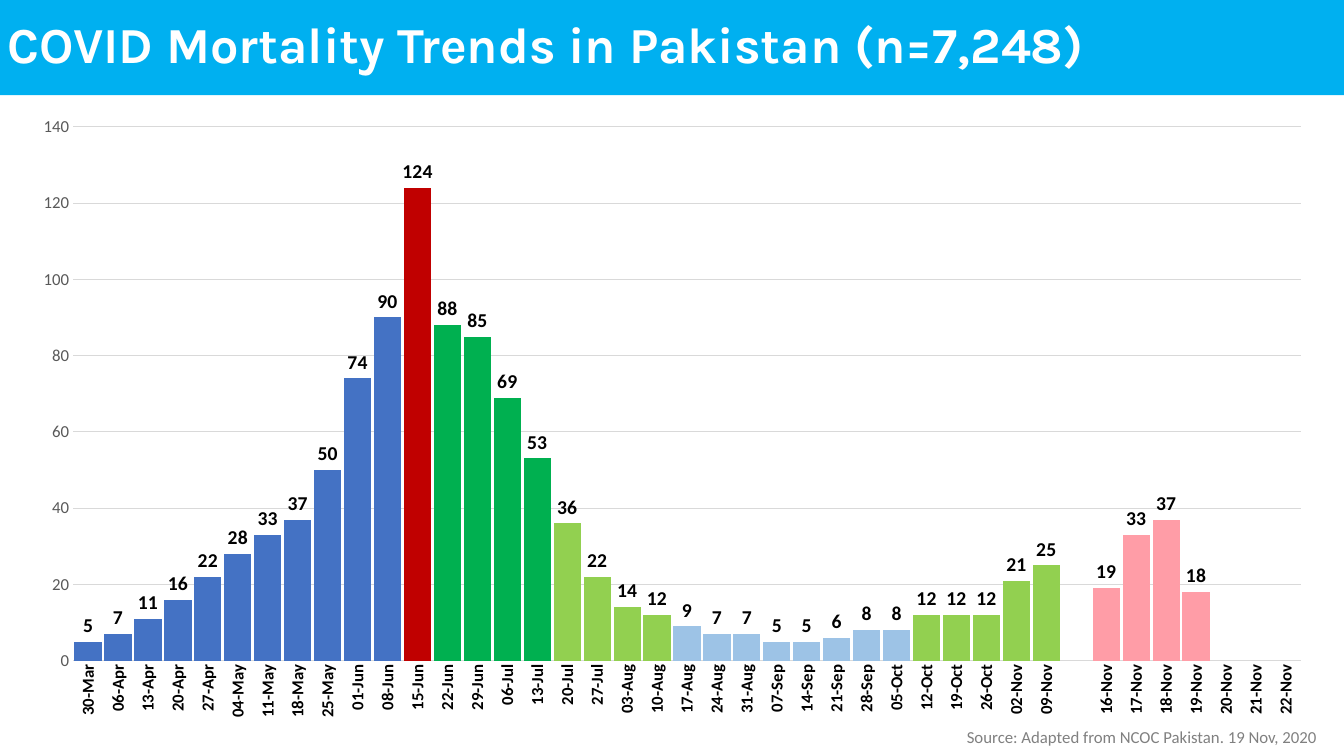
from dataclasses import dataclass

from lxml.etree import SubElement
from pptx import Presentation
from pptx.chart.data import CategoryChartData
from pptx.dml.color import RGBColor
from pptx.enum.chart import XL_CHART_TYPE as ChartType
from pptx.enum.chart import XL_LABEL_POSITION as LabelPosition
from pptx.enum.chart import XL_TICK_MARK as TickMark
from pptx.enum.shapes import MSO_SHAPE as ShapeType
from pptx.enum.text import MSO_ANCHOR as Anchor
from pptx.enum.text import MSO_AUTO_SIZE as AutoSize
from pptx.enum.text import PP_ALIGN as Align
from pptx.oxml import parse_xml
from pptx.oxml.ns import nsdecls, qn
from pptx.util import Pt


@dataclass(frozen=True)
class Theme:
    heading_font: str = "Karla"
    body_font: str = "Calibri"
    title_size: int = 36
    value_size: int = 14
    small_size: int = 12
    banner: str = "00B0F0"
    white: str = "FFFFFF"
    black: str = "000000"
    source: str = "808080"
    axis: str = "595959"
    grid: str = "D9D9D9"
    rise: str = "4472C4"
    peak: str = "C00000"
    fall: str = "00B050"
    moderate: str = "92D050"
    low: str = "9DC3E6"
    daily: str = "FF9DA7"


THEME = Theme()

# Colour of each phase, its dates and its deaths; missing deaths leave a gap.
PHASES = [
    (THEME.rise,
     "30-Mar 06-Apr 13-Apr 20-Apr 27-Apr 04-May 11-May 18-May 25-May 01-Jun 08-Jun".split(),
     [5, 7, 11, 16, 22, 28, 33, 37, 50, 74, 90]),
    (THEME.peak, ["15-Jun"], [124]),
    (THEME.fall, "22-Jun 29-Jun 06-Jul 13-Jul".split(), [88, 85, 69, 53]),
    (THEME.moderate, "20-Jul 27-Jul 03-Aug 10-Aug".split(), [36, 22, 14, 12]),
    (THEME.low,
     "17-Aug 24-Aug 31-Aug 07-Sep 14-Sep 21-Sep 28-Sep 05-Oct".split(),
     [9, 7, 7, 5, 5, 6, 8, 8]),
    (THEME.moderate,
     "12-Oct 19-Oct 26-Oct 02-Nov 09-Nov".split(), [12, 12, 12, 21, 25]),
    (THEME.rise, [""], [None]),
    (THEME.daily,
     "16-Nov 17-Nov 18-Nov 19-Nov 20-Nov 21-Nov 22-Nov".split(),
     [19, 33, 37, 18, None, None, None]),
]


class SlideBuilder:
    def __init__(self, slide, theme):
        self.slide = slide
        self.theme = theme

    def style_font(self, font, size, color, bold=False, name=None):
        font.name = name or self.theme.body_font
        font.size = Pt(size)
        font.bold = bold
        font.color.rgb = RGBColor.from_string(color)

    def add_banner(self, text, left, top, width, height):
        banner = self.slide.shapes.add_shape(
            ShapeType.RECTANGLE, Pt(left), Pt(top), Pt(width), Pt(height))
        banner.shadow.inherit = False
        banner.fill.solid()
        banner.fill.fore_color.rgb = RGBColor.from_string(self.theme.banner)
        banner.line.fill.background()
        frame = banner.text_frame
        frame.text = text
        frame.word_wrap = True
        frame.vertical_anchor = Anchor.MIDDLE
        paragraph = frame.paragraphs[0]
        paragraph.alignment = Align.LEFT
        paragraph.line_spacing = 0.9
        self.style_font(paragraph.runs[0].font, self.theme.title_size,
                        self.theme.white, True, self.theme.heading_font)

    def add_source(self, text, left, top, width, height):
        box = self.slide.shapes.add_textbox(Pt(left), Pt(top), Pt(width), Pt(height))
        frame = box.text_frame
        frame.text = text
        frame.word_wrap = True
        frame.auto_size = AutoSize.SHAPE_TO_FIT_TEXT
        self.style_font(frame.paragraphs[0].runs[0].font,
                        self.theme.small_size, self.theme.source)

    def add_phase_chart(self, phases, left, top, width, height):
        """Draw one column per date, coloured by phase."""
        data = CategoryChartData(number_format="0")
        data.categories = [date for _, dates, _ in phases for date in dates]
        data.add_series("Series 1", [n for _, _, deaths in phases for n in deaths])
        chart = self.slide.shapes.add_chart(
            ChartType.COLUMN_CLUSTERED, Pt(left), Pt(top), Pt(width), Pt(height),
            data).chart
        chart.has_legend = False
        chart.has_title = False
        self.style_font(chart.font, 10, self.theme.black)
        self.style_columns(chart.plots[0], phases)
        self.style_axes(chart)
        self.place_plot(chart, x=0.043, y=0.035, w=0.937, h=0.854)

    def style_columns(self, plot, phases):
        plot.gap_width = 10
        plot.overlap = -27
        plot.vary_by_categories = False
        series = plot.series[0]
        series.format.fill.solid()
        series.format.fill.fore_color.rgb = RGBColor.from_string(self.theme.rise)
        colors = [color for color, dates, _ in phases for _ in dates]
        for index, color in enumerate(colors):
            if color != self.theme.rise:
                fill = series.points[index].format.fill
                fill.solid()
                fill.fore_color.rgb = RGBColor.from_string(color)
        labels = series.data_labels
        labels.show_value = True
        labels.position = LabelPosition.OUTSIDE_END
        labels.number_format = "0"
        labels.number_format_is_linked = False
        self.style_font(labels.font, self.theme.value_size, self.theme.black, True)

    def style_axes(self, chart):
        dates, deaths = chart.category_axis, chart.value_axis
        for axis in (dates, deaths):
            axis.major_tick_mark = axis.minor_tick_mark = TickMark.NONE
        self.style_font(dates.tick_labels.font, self.theme.small_size,
                        self.theme.black, True)
        self.style_font(deaths.tick_labels.font, self.theme.small_size, self.theme.axis)
        deaths.minimum_scale, deaths.maximum_scale, deaths.major_unit = 0, 140, 20
        deaths.tick_labels.number_format = "0"
        deaths.tick_labels.number_format_is_linked = False
        deaths.format.line.fill.background()
        for line in (dates.format.line, deaths.major_gridlines.format.line):
            line.color.rgb = RGBColor.from_string(self.theme.grid)
            line.width = Pt(0.75)
        self.turn_labels_upright(dates)

    def turn_labels_upright(self, axis):
        """Rotate the labels by 90 degrees and show every one."""
        element = axis._element
        body = element.find(qn("c:txPr")).find(qn("a:bodyPr"))
        body.set("rot", "-5400000")
        body.set("vert", "horz")
        skip = parse_xml(f'<c:tickLblSkip {nsdecls("c")} val="1"/>')
        element.find(qn("c:noMultiLvlLbl")).addprevious(skip)

    def place_plot(self, chart, **fractions):
        """Fix the inner plot area as fractions of the chart."""
        plot_area = chart._chartSpace.chart.plotArea
        layout = plot_area.find(qn("c:layout"))
        if layout is None:
            layout = parse_xml(f'<c:layout {nsdecls("c")}/>')
            plot_area.insert(0, layout)
        manual = SubElement(layout, qn("c:manualLayout"))
        settings = {"layoutTarget": "inner", "xMode": "edge", "yMode": "edge", **fractions}
        for name, value in settings.items():
            SubElement(manual, qn(f"c:{name}")).set("val", str(value))


def main():
    presentation = Presentation()
    presentation.slide_width, presentation.slide_height = Pt(960), Pt(540)
    slide = presentation.slides.add_slide(presentation.slide_layouts[6])
    builder = SlideBuilder(slide, THEME)
    builder.add_phase_chart(PHASES, 12, 75, 936, 446.5)
    builder.add_banner("COVID Mortality Trends in Pakistan (n=7,248)", -1.5, 0, 961.5, 68)
    builder.add_source("Source: Adapted from NCOC Pakistan. 19 Nov, 2020",
                       683.5, 515.5, 276, 21.5)
    presentation.save("out.pptx")


if __name__ == "__main__":
    main()
